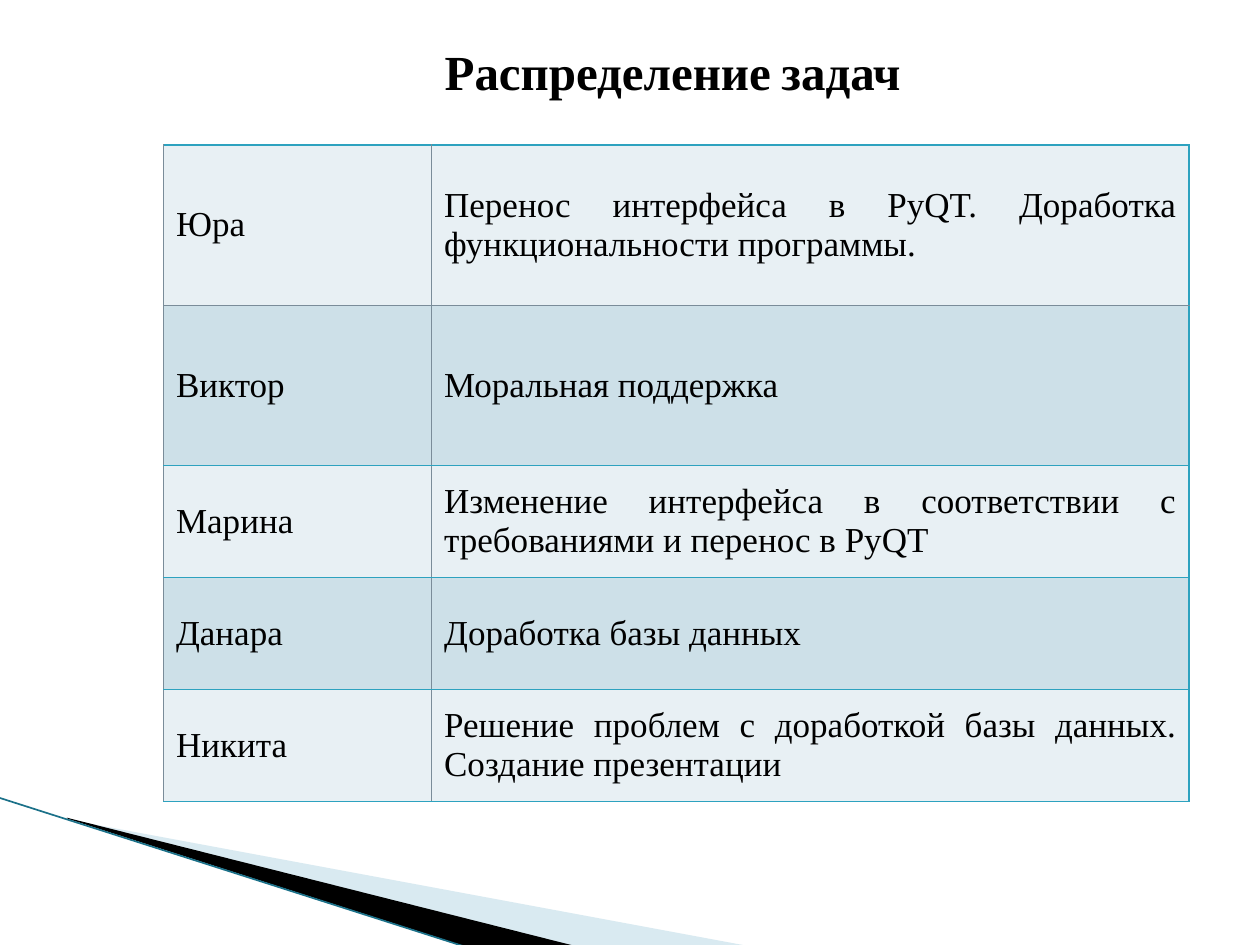
import pptx
import pptx.dml.color
import pptx.enum.shapes
import pptx.enum.text
import pptx.oxml.ns
import pptx.util
import lxml.etree

Pt = pptx.util.Pt
ALIGN = pptx.enum.text.PP_ALIGN
COLORS = {
    "text": "000000",
    "light_row": "E8F0F4",
    "dark_row": "CDE0E8",
    "border": "2DA2BF",
    "thin_border": "7A8C99",
    "pale_wedge": "A0CBDC",
    "black_wedge": "000000",
    "edge": "1B7189",
}


def rgb(name):
    return pptx.dml.color.RGBColor.from_string(COLORS[name])


def write(frame, *parts, size=20, bold=False, align=ALIGN.LEFT, wrap=True):
    """Fill a text frame; each part is a string or a (string, size) pair."""
    frame.word_wrap = wrap
    paragraph = frame.paragraphs[0]
    paragraph.alignment = align
    for part in parts:
        words, points = part if isinstance(part, tuple) else (part, size)
        run = paragraph.add_run()
        run.text = words
        run.font.name = "Times New Roman"
        run.font.size = Pt(points)
        run.font.bold = bold
        run.font.color.rgb = rgb("text")


deck = pptx.Presentation()
deck.slide_width, deck.slide_height = Pt(720), Pt(540)
slide = deck.slides.add_slide(deck.slide_layouts[6])
shapes = slide.shapes

# Corner wedges: colour, opacity in percent, outline
wedges = [
    ("pale_wedge", 40, [(39.6, 468.5), (428.4, 540.7), (328.3, 540.7), (39.6, 468)]),
    ("black_wedge", 100, [(38.2, 467.3), (329, 540.7), (267.8, 541.4), (38.9, 468)]),
]
for color, opacity, outline in wedges:
    start, *rest = [(Pt(x), Pt(y)) for x, y in outline]
    builder = shapes.build_freeform(*start)
    builder.add_line_segments(rest)
    wedge = builder.convert_to_shape()
    wedge.shadow.inherit = False
    wedge.line.fill.background()
    wedge.fill.solid()
    wedge.fill.fore_color.rgb = rgb(color)
    if opacity < 100:
        tint = wedge.fill._xPr.find(".//" + pptx.oxml.ns.qn("a:srgbClr"))
        lxml.etree.SubElement(tint, pptx.oxml.ns.qn("a:alpha"), val=str(opacity * 1000))

# Thin edge along the wedges
edge = shapes.add_connector(
    pptx.enum.shapes.MSO_CONNECTOR.STRAIGHT, Pt(-0.7), Pt(455.8), Pt(267.1), Pt(541.4))
edge.line.color.rgb = rgb("edge")
edge.line.width = Pt(0.95)
lxml.etree.SubElement(edge._element.spPr, pptx.oxml.ns.qn("a:effectLst"))

# Task table
tasks = [
    ("Юра", "Перенос интерфейса в PyQT. Доработка функциональности программы."),
    ("Виктор", "Моральная поддержка"),
    ("Марина", "Изменение интерфейса в соответствии с требованиями и перенос в PyQT"),
    ("Данара", "Доработка базы данных"),
    ("Никита", "Решение проблем с доработкой базы данных. Cоздание презентации"),
]
widths = [153.2, 432.8]
heights = [91.6, 91.6, 64, 64, 64]
assignments = shapes.add_table(
    len(tasks), 2, Pt(93.4), Pt(82.8), Pt(sum(widths)), Pt(sum(heights))).table
assignments.first_row = False
assignments.horz_banding = False
for column, width in zip(assignments.columns, widths):
    column.width = Pt(width)

for r, task in enumerate(tasks):
    assignments.rows[r].height = Pt(heights[r])
    for c, words in enumerate(task):
        cell = assignments.cell(r, c)
        cell.vertical_anchor = pptx.enum.text.MSO_ANCHOR.MIDDLE
        write(cell.text_frame, words, align=ALIGN.JUSTIFY if c else ALIGN.LEFT)

        # The left and middle verticals and the first divider are thin
        thin = {"lnL": True, "lnR": c == 0, "lnT": r == 1, "lnB": r == 0}
        for side, is_thin in thin.items():
            border = lxml.etree.SubElement(
                cell._tc.get_or_add_tcPr(), pptx.oxml.ns.qn("a:" + side),
                w=str(Pt(0.5 if is_thin else 1)))
            fill = lxml.etree.SubElement(border, pptx.oxml.ns.qn("a:solidFill"))
            lxml.etree.SubElement(fill, pptx.oxml.ns.qn("a:srgbClr"),
                                  val=COLORS["thin_border" if is_thin else "border"])
        cell.fill.solid()
        cell.fill.fore_color.rgb = rgb("dark_row" if r % 2 else "light_row")

# Title
title = shapes.add_textbox(Pt(247), Pt(20.2), Pt(278), Pt(41)).text_frame
title.auto_size = pptx.enum.text.MSO_AUTO_SIZE.SHAPE_TO_FIT_TEXT
write(title, "Распределение", (" ", 24), "задач", size=28, bold=True, wrap=False)

deck.save("out.pptx")
